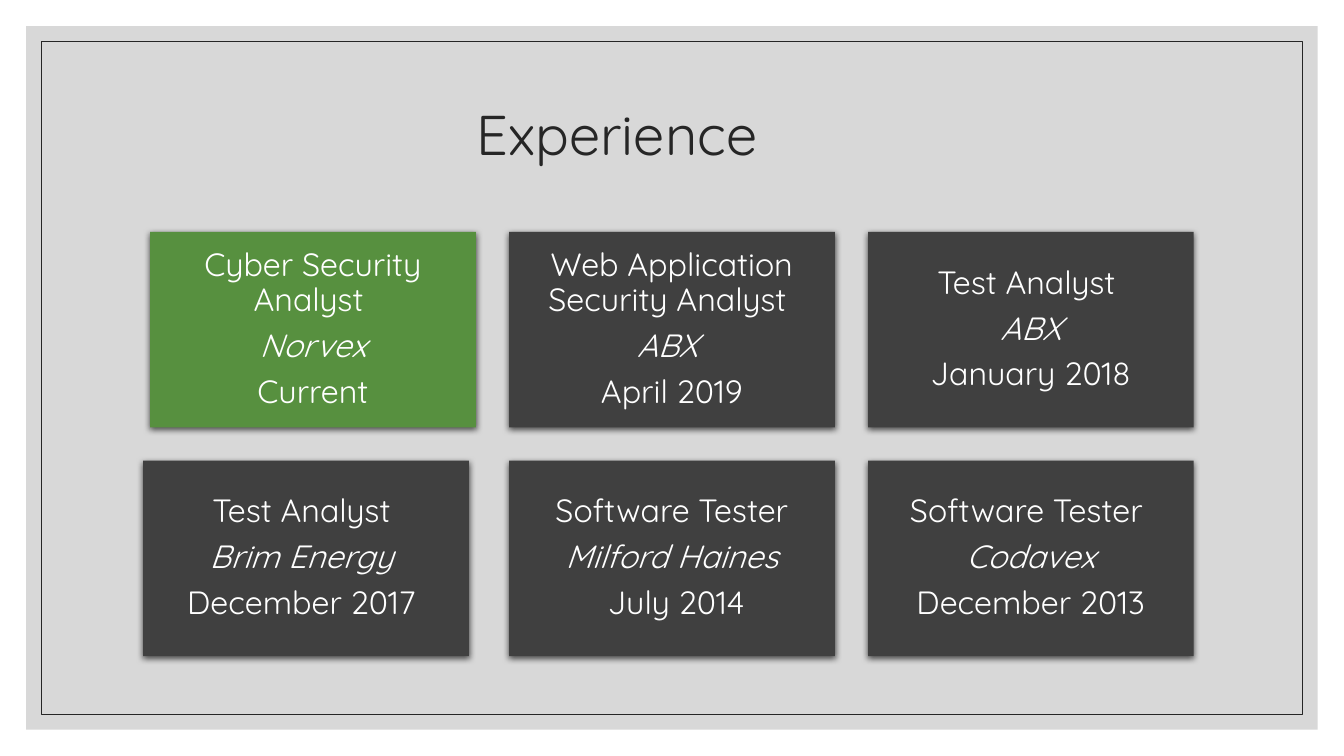
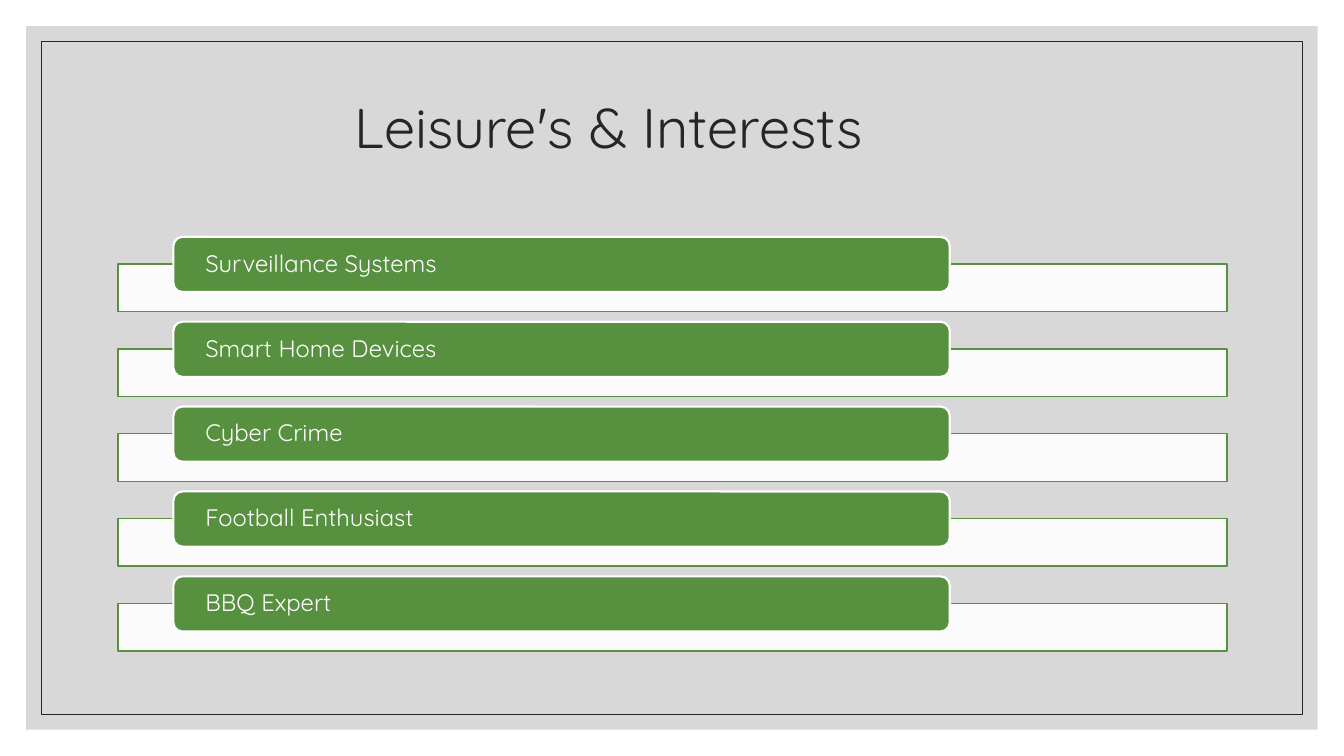
from dataclasses import dataclass

from lxml import etree
from pptx import Presentation
from pptx import util as u
from pptx.dml.color import RGBColor
from pptx.enum import shapes, text
from pptx.oxml.ns import qn


@dataclass(frozen=True)
class Theme:
    """Colours, font and type sizes shared by the slides."""
    panel: str = "BFBFBF"
    ink: str = "262626"
    white: str = "FFFFFF"
    accent: str = "57903F"
    dark: str = "404040"
    shadow: str = "000000"
    font: str = "Quicksand"
    title_size: int = 40
    card_size: int = 23
    bar_size: int = 17


T = Theme()
SLIDE_W, SLIDE_H = 13.33, 7.5
RECT = shapes.MSO_SHAPE.RECTANGLE
ROUNDED = shapes.MSO_SHAPE.ROUNDED_RECTANGLE
CENTER = text.PP_ALIGN.CENTER
LEFT = text.PP_ALIGN.LEFT

JOBS = [
    ("Cyber Security Analyst ", "Norvex", " Current ", T.accent, 0),
    ("Web Application Security Analyst ", "ABX ", "April 2019", T.dark, 0),
    ("Test Analyst ", "ABX", " January 2018 ", T.dark, 0),
    ("Test Analyst ", "Brim Energy ", "December 2017 ", T.dark, -0.07),
    ("Software Tester", " Milford Haines ", " July 2014", T.dark, 0),
    ("Software Tester ", " Codavex ", " December 2013 ", T.dark, 0),
]
INTERESTS = ["Surveillance Systems", "Smart Home Devices", "Cyber Crime",
             "Football Enthusiast", "BBQ Expert"]


def put(obj, **values):
    """Set each named attribute on the object."""
    for name, value in values.items():
        setattr(obj, name, value)


def inches(box):
    """Turn a box in inches into lengths."""
    return [u.Inches(v) for v in box]


def add_alpha(color, percent):
    """Give a colour element an opacity."""
    etree.SubElement(color, qn("a:alpha"), val=str(percent * 1000))


def add_box(s, box, fill=None, alpha=None, line=None, width=1, kind=RECT):
    """Draw a flat preset shape with optional fill and outline."""
    sp = s.shapes.add_shape(kind, *inches(box))
    sp.shadow.inherit = False
    if fill:
        sp.fill.solid()
        sp.fill.fore_color.rgb = RGBColor.from_string(fill)
        if alpha:
            add_alpha(sp._element.spPr.find(".//" + qn("a:srgbClr")), alpha)
    else:
        sp.fill.background()
    if line:
        sp.line.color.rgb = RGBColor.from_string(line)
        sp.line.width = u.Pt(width)
    else:
        sp.line.fill.background()
    return sp


def add_shadow(sp):
    """Drop a soft shadow straight below the shape."""
    effects = sp._element.spPr.find(qn("a:effectLst"))
    outer = etree.SubElement(effects, qn("a:outerShdw"), blurRad=str(u.Pt(4.5)),
                             dist=str(u.Pt(1.5)), dir="5400000", rotWithShape="0")
    add_alpha(etree.SubElement(outer, qn("a:srgbClr"), val=T.shadow), 63)


def write(sp, lines, size, color, align, inset=(0.1, 0.05), gap=0):
    """Fill a shape with (text, italic) paragraphs, centred vertically."""
    tf = sp.text_frame
    side, end = inches(inset)
    put(tf, word_wrap=True, vertical_anchor=text.MSO_ANCHOR.MIDDLE,
        margin_left=side, margin_right=side, margin_top=end, margin_bottom=end)
    for i, (words, italic) in enumerate(lines):
        p = tf.add_paragraph() if i else tf.paragraphs[0]
        put(p, alignment=align, line_spacing=0.9, space_after=u.Pt(gap))
        r = p.add_run()
        r.text = words
        put(r.font, name=T.font, size=u.Pt(size), italic=italic)
        r.font.color.rgb = RGBColor.from_string(color)


def add_page(prs, title, x, y):
    """Start a slide with the shared panel, frame and title."""
    s = prs.slides.add_slide(prs.slide_layouts[6])
    for margin, style in ((0.26, dict(fill=T.panel, alpha=60)),
                          (0.41, dict(line=T.ink, width=0.5))):
        add_box(s, (margin, margin, SLIDE_W - 2 * margin, SLIDE_H - 2 * margin), **style)
    sp = s.shapes.add_textbox(*inches((x, y, 8, 1.5)))
    write(sp, [(title, False)], T.title_size, T.ink, LEFT)
    return s


def add_cards(s, box, jobs, cols=3, gap=0.33):
    """Lay the job cards out in a grid that fills the box."""
    x, y, w, h = box
    rows = len(jobs) // cols
    card_w = (w - (cols - 1) * gap) / cols
    card_h = (h - (rows - 1) * gap) / rows
    for i, (role, employer, date, fill, shift) in enumerate(jobs):
        row, col = divmod(i, cols)
        sp = add_box(s, (x + col * (card_w + gap) + shift, y + row * (card_h + gap),
                         card_w, card_h), fill)
        add_shadow(sp)
        write(sp, [(role, False), (employer, True), (date, False)],
              T.card_size, T.white, CENTER, inset=(0.1, 0.1), gap=8)


def add_bars(s, box, labels):
    """Stack labelled tabs, each overlapping a pale tray, down the box."""
    x, y, w, h = box
    pitch = h / len(labels)
    for i, label in enumerate(labels):
        top = y + i * pitch
        add_box(s, (x, top + 0.32 * pitch, w, 0.56 * pitch), T.white, 90, T.accent)
        sp = add_box(s, (x + 0.05 * w, top, 0.7 * w, 0.65 * pitch), T.accent,
                     line=T.white, width=1.5, kind=ROUNDED)
        write(sp, [(label, False)], T.bar_size, T.white, LEFT, inset=(0.29, 0))


def main():
    """Build and save the two slides."""
    prs = Presentation()
    put(prs, slide_width=u.Inches(SLIDE_W), slide_height=u.Inches(SLIDE_H))
    add_cards(add_page(prs, "Experience", 4.63, 0.61), (1.49, 2.3, 10.35, 4.21), JOBS)
    add_bars(add_page(prs, "Leisure's & Interests", 3.42, 0.54),
             (1.17, 2.35, 11, 4.21), INTERESTS)
    prs.save("out.pptx")


if __name__ == "__main__":
    main()
